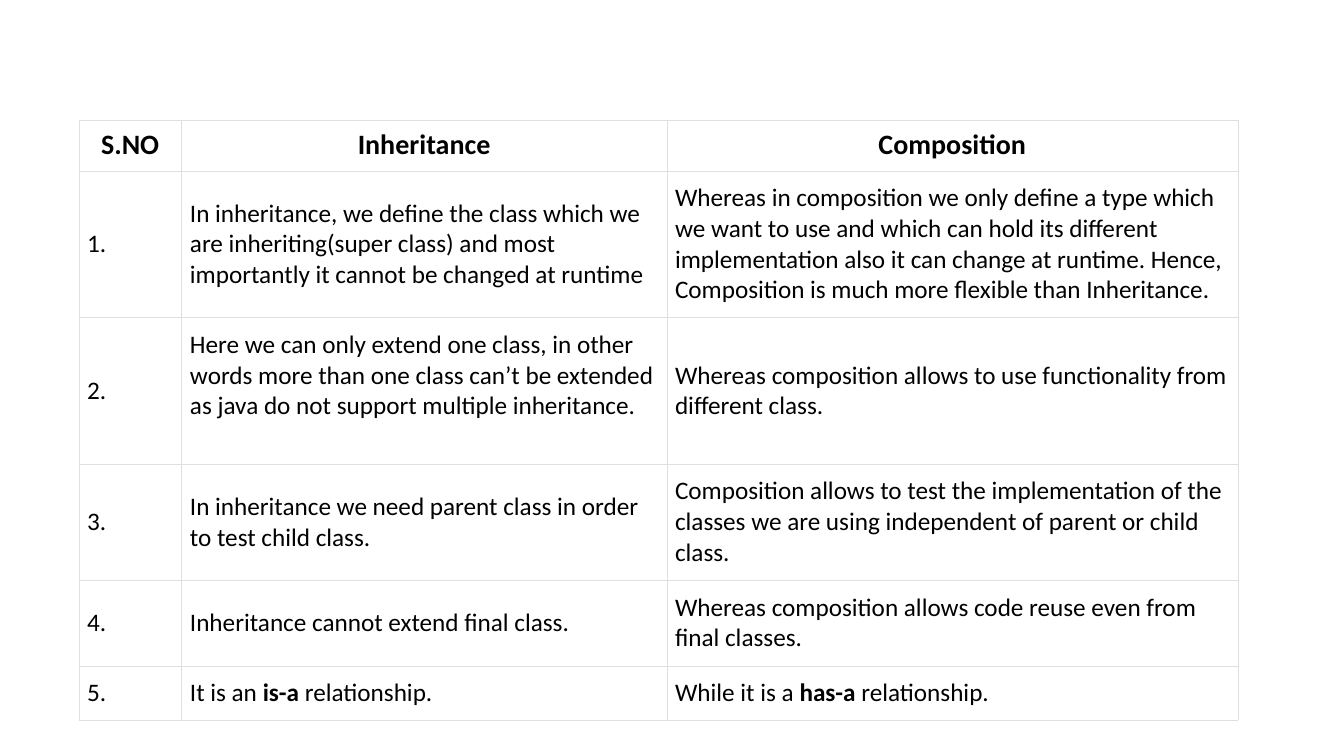
"""Build a slide with a table that compares inheritance and composition."""
from dataclasses import dataclass

from lxml.etree import SubElement
from pptx import Presentation
from pptx.dml.color import RGBColor
from pptx.enum.text import MSO_ANCHOR, PP_ALIGN
from pptx.oxml.ns import qn
from pptx.table import Table, _Cell
from pptx.util import Emu, Pt

PX = 9525
BLACK = RGBColor(0x00, 0x00, 0x00)
GREY = RGBColor(0xDF, 0xDF, 0xDF)
RULE = Pt(0.18)
LEFT, TOP = 75, 114
WIDTHS = (98, 462, 544)


@dataclass(frozen=True)
class Row:
    """Texts of one row, with bold parts between double stars."""
    height: int
    texts: tuple[str, str, str]
    head: bool = False


ROWS = (
    Row(49, ("S.NO", "Inheritance", "Composition"), head=True),
    Row(139, (
        "1.",
        "In inheritance, we define the class which we are inheriting(super class) "
        "and most importantly it cannot be changed at runtime",
        "Whereas in composition we only define a type which we want to use and "
        "which can hold its different implementation also it can change at runtime. "
        "Hence, Composition is much more flexible than Inheritance.")),
    Row(140, (
        "2.",
        "Here we can only extend one class, in other words more than one class "
        "can’t be extended as java do not support multiple inheritance.",
        "Whereas composition allows to use functionality from different class.")),
    Row(110, (
        "3.",
        "In inheritance we need parent class in order to test child class.",
        "Composition allows to test the implementation of the classes we are "
        "using independent of parent or child class.")),
    Row(82, (
        "4.",
        "Inheritance cannot extend final class.",
        "Whereas composition allows code reuse even from final classes.")),
    Row(51, (
        "5.",
        "It is an **is-a** relationship.",
        "While it is a **has-a** relationship.")),
)
LIFTS = {(2, 1): 29}


def px(size: int) -> Emu:
    """Turn pixels into EMU."""
    return Emu(size * PX)


def frame(cell: _Cell) -> None:
    """Rule all four sides of a cell and leave it unfilled."""
    props = cell._tc.get_or_add_tcPr()
    for side in ("lnL", "lnR", "lnT", "lnB"):
        line = SubElement(props, qn(f"a:{side}"), w=str(RULE))
        fill = SubElement(line, qn("a:solidFill"))
        SubElement(fill, qn("a:srgbClr"), val=str(GREY))
    cell.fill.background()


def write(cell: _Cell, text: str, head: bool) -> None:
    """Put text in a cell, with its bold parts."""
    para = cell.text_frame.paragraphs[0]
    para.alignment = PP_ALIGN.CENTER if head else PP_ALIGN.LEFT
    for index, part in enumerate(text.split("**")):
        run = para.add_run()
        run.text = part
        run.font.color.rgb = BLACK
        style = {"name": "Calibri", "size": Pt(20 if head else 18),
                 "bold": head or index % 2 == 1}
        for key, value in style.items():
            setattr(run.font, key, value)


def fill_row(table: Table, index: int, row: Row) -> None:
    """Format and fill one row of the table."""
    table.rows[index].height = px(row.height)
    for col, text in enumerate(row.texts):
        cell = table.cell(index, col)
        side = 4 if row.head and col == 0 else 8
        edge = 8 if row.head else 11
        style = {"vertical_anchor": MSO_ANCHOR.MIDDLE,
                 "margin_left": px(side), "margin_right": px(side),
                 "margin_top": px(edge),
                 "margin_bottom": px(edge + LIFTS.get((index, col), 0))}
        for key, value in style.items():
            setattr(cell, key, value)
        frame(cell)
        write(cell, text, row.head)


def main() -> None:
    """Make the slide and save it."""
    deck = Presentation()
    deck.slide_width, deck.slide_height = px(1280), px(720)
    slide = deck.slides.add_slide(deck.slide_layouts[6])
    high = sum(row.height for row in ROWS)
    table = slide.shapes.add_table(
        len(ROWS), len(WIDTHS), px(LEFT), px(TOP), px(sum(WIDTHS)), px(high)).table
    table.first_row = table.horz_banding = False
    for col, width in zip(table.columns, WIDTHS):
        col.width = px(width)
    for index, row in enumerate(ROWS):
        fill_row(table, index, row)
    deck.save("out.pptx")


if __name__ == "__main__":
    main()
